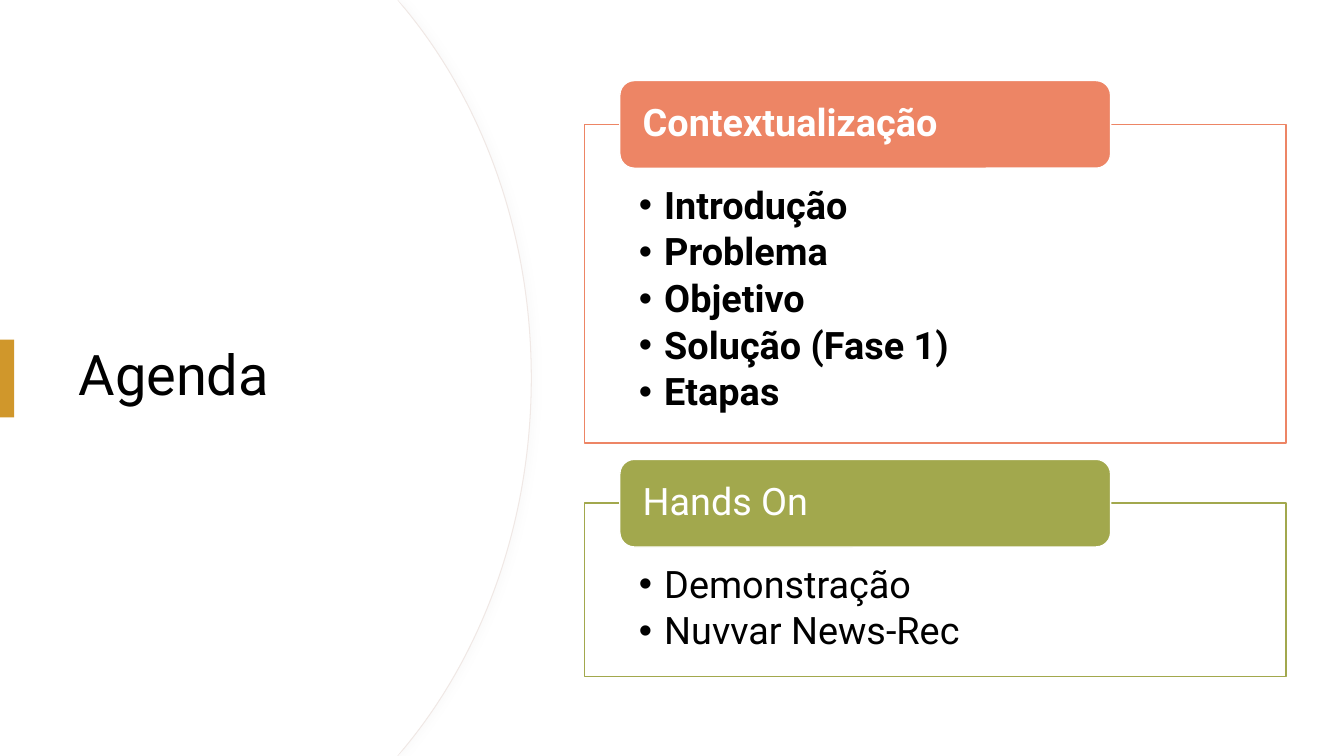
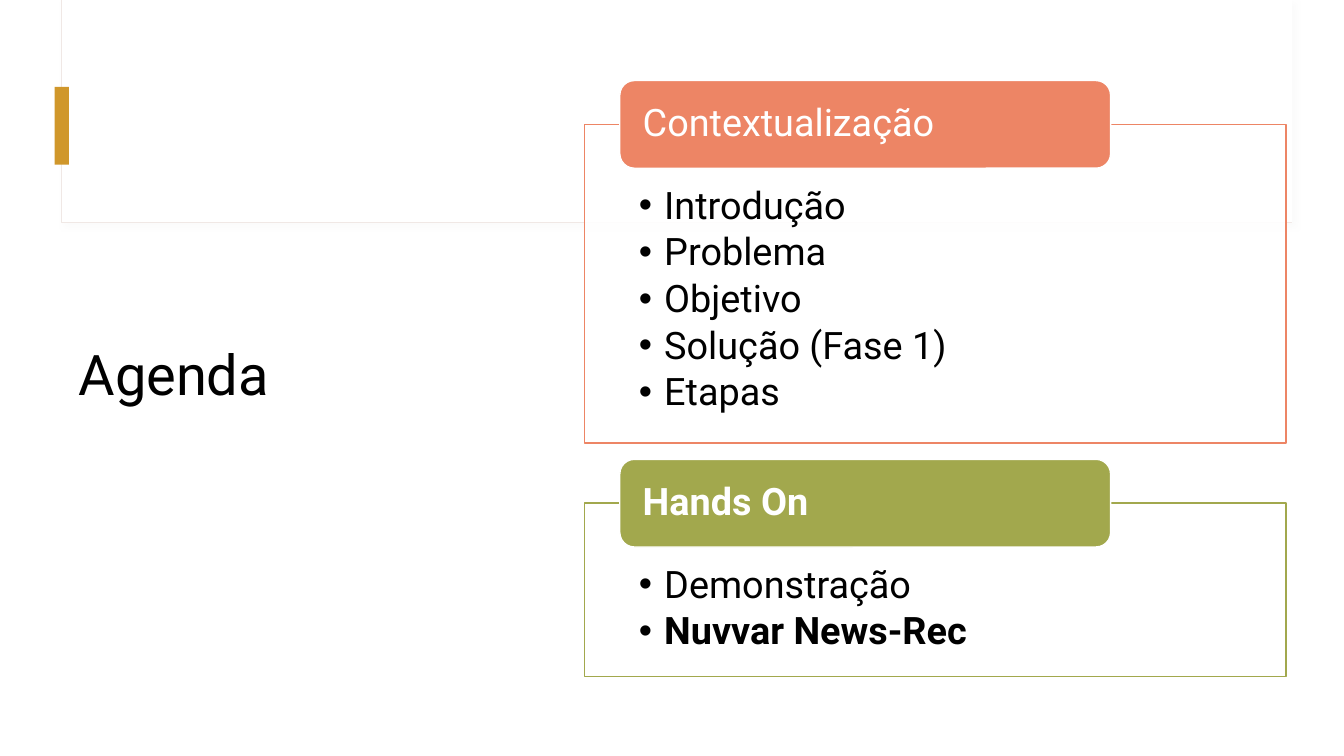
from lxml import etree
from pptx import Presentation
from pptx.dml.color import RGBColor
from pptx.enum.shapes import MSO_SHAPE
from pptx.enum.text import MSO_ANCHOR, MSO_AUTO_SIZE, PP_ALIGN
from pptx.oxml.ns import qn
from pptx.util import Cm, Pt

RECT, ROUND = MSO_SHAPE.RECTANGLE, MSO_SHAPE.ROUNDED_RECTANGLE
TOP, MIDDLE = MSO_ANCHOR.TOP, MSO_ANCHOR.MIDDLE
LEFT = PP_ALIGN.LEFT
FONT = "Roboto"
WHITE, BLACK, GOLD = "FFFFFF", "000000", "D0972B"
EDGE, SHADE = "F0E8E5", "D9D9D9"
SLIDE_W, SLIDE_H = 33.87, 19.05

TITLE = "Agenda"
SECTIONS = [
    ("Contextualização", "ED8565", 8.03,
     ["Introdução", "Problema", "Objetivo", "Solução (Fase 1)", "Etapas"]),
    ("Hands On", "A2A84D", 4.37, ["Demonstração", "Nuvvar News-Rec"]),
]
SLIDES = [
    {"arc": True, "marker": (0, 8.56),
     "bold": ["Contextualização", *SECTIONS[0][3]]},
    {"arc": False, "marker": (1.38, 2.19),
     "bold": ["Hands On", "Nuvvar News-Rec"]},
]

PANEL_X, PANEL_W, FIRST_TAB_Y, PANEL_GAP = 14.73, 17.68, 2.03, 0.41
TAB_INDENT, TAB_W, TAB_H = 0.89, 12.37, 2.21


def rgb(value):
    return RGBColor.from_string(value)


def paint(sp, fill, line=None, width=0.75):
    sp.shadow.inherit = False
    sp.fill.solid()
    sp.fill.fore_color.rgb = rgb(fill)
    if line:
        sp.line.color.rgb = rgb(line)
        sp.line.width = Pt(width)
    else:
        sp.line.fill.background()


def set_alpha(color, percent):
    etree.SubElement(color, qn("a:alpha"), val=str(percent * 1000))


def add_shadow(sp, angle):
    effects = sp._element.spPr.find(qn("a:effectLst"))
    shadow = etree.SubElement(effects, qn("a:outerShdw"), blurRad=str(Pt(4)),
                              dist=str(Pt(3)), dir=str(angle * 60000))
    color = etree.SubElement(shadow, qn("a:srgbClr"), val=SHADE)
    set_alpha(color, 10)


def add_box(s, kind, x, y, w, h, fill, line=None, width=0.75):
    sp = s.shapes.add_shape(kind, Cm(x), Cm(y), Cm(w), Cm(h))
    paint(sp, fill, line, width)
    return sp


def set_frame(tf, anchor, insets):
    tf.word_wrap = True
    tf.vertical_anchor = anchor
    tf.margin_left, tf.margin_top, tf.margin_right, tf.margin_bottom = map(Cm, insets)


def write(p, text, size, color, bold=False):
    p.alignment = LEFT
    p.line_spacing = 0.9
    r = p.add_run()
    r.text = text
    r.font.name, r.font.size, r.font.bold = FONT, Pt(size), bold
    r.font.color.rgb = rgb(color)


def add_bullet(p):
    p.space_after = Pt(4.05)
    pPr = p._p.get_or_add_pPr()
    pPr.set("marL", str(Cm(0.64)))
    pPr.set("indent", str(-Cm(0.64)))
    etree.SubElement(pPr, qn("a:buFont"), typeface="Arial")
    etree.SubElement(pPr, qn("a:buChar"), char="•")


def bend(segments):
    curve = etree.Element(qn("a:cubicBezTo"))
    segments[0].addprevious(curve)
    for segment in segments:
        curve.append(segment[0])
        segment.getparent().remove(segment)


def add_arc(s):
    for right, line in ((13.39, EDGE), (13.36, None)):
        upper = [(10.01, 0), (right - 3.2, 0.2), (right - 1.22, 2.59), (right, 5.89)]
        lower = [(x, SLIDE_H - y) for x, y in reversed(upper)]
        points = upper + [(right, SLIDE_H / 2)] + lower + [(0, SLIDE_H)]
        outline = s.shapes.build_freeform(0, 0)
        outline.add_line_segments([(Cm(x), Cm(y)) for x, y in points])
        sp = outline.convert_to_shape()
        segments = list(sp._element.iter(qn("a:lnTo")))
        bend(segments[2:5])
        bend(segments[5:8])
        paint(sp, WHITE, line)
        if line:
            add_shadow(sp, 0)


def add_layout_band(s, layout):
    outer = add_box(s, RECT, 1.55, 0, 31.01, 5.61, WHITE, EDGE)
    add_shadow(outer, 45)
    inner = add_box(s, RECT, 1.57, 0, 30.99, 5.59, WHITE)
    for position, sp in enumerate((outer, inner), start=2):
        layout.shapes._spTree.insert(position, sp._element)


def add_title(s):
    title = s.shapes.title
    s.shapes._spTree.append(title._element)
    title.left, title.top, title.width, title.height = map(Cm, (1.73, 3.23, 10.01, 12.57))
    tf = title.text_frame
    tf.auto_size = MSO_AUTO_SIZE.NONE
    set_frame(tf, MIDDLE, (0.25, 0.13, 0.25, 0.13))
    write(tf.paragraphs[0], TITLE, 40, BLACK)


def add_section(s, tab_y, section, bold):
    heading, color, height, items = section
    panel = add_box(s, RECT, PANEL_X, tab_y + TAB_H / 2, PANEL_W, height, WHITE, color, 1)
    set_alpha(panel._element.spPr.find(qn("a:solidFill"))[0], 90)
    tf = panel.text_frame
    set_frame(tf, TOP, (1.37, 1.57, 1.37, 0.53))
    for i, item in enumerate(items):
        p = tf.add_paragraph() if i else tf.paragraphs[0]
        write(p, item, 27, BLACK, item in bold)
        add_bullet(p)

    tab = add_box(s, ROUND, PANEL_X + TAB_INDENT, tab_y, TAB_W, TAB_H, color, WHITE, 1)
    set_frame(tab.text_frame, MIDDLE, (0.47, 0, 0.47, 0))
    write(tab.text_frame.paragraphs[0], heading, 27, WHITE, heading in bold)
    return tab_y + TAB_H / 2 + height + PANEL_GAP


def main():
    prs = Presentation()
    prs.slide_width, prs.slide_height = Cm(SLIDE_W), Cm(SLIDE_H)
    layout = prs.slide_layouts[5]
    slides = [prs.slides.add_slide(layout) for _ in SLIDES]
    add_layout_band(slides[0], layout)
    for s, content in zip(slides, SLIDES):
        if content["arc"]:
            add_box(s, RECT, 0, 0, SLIDE_W, SLIDE_H, WHITE)
            add_arc(s)
        add_title(s)
        add_box(s, RECT, *content["marker"], 0.36, 1.96, GOLD)
        tab_y = FIRST_TAB_Y
        for section in SECTIONS:
            tab_y = add_section(s, tab_y, section, content["bold"])
    prs.save("out.pptx")


if __name__ == "__main__":
    main()
